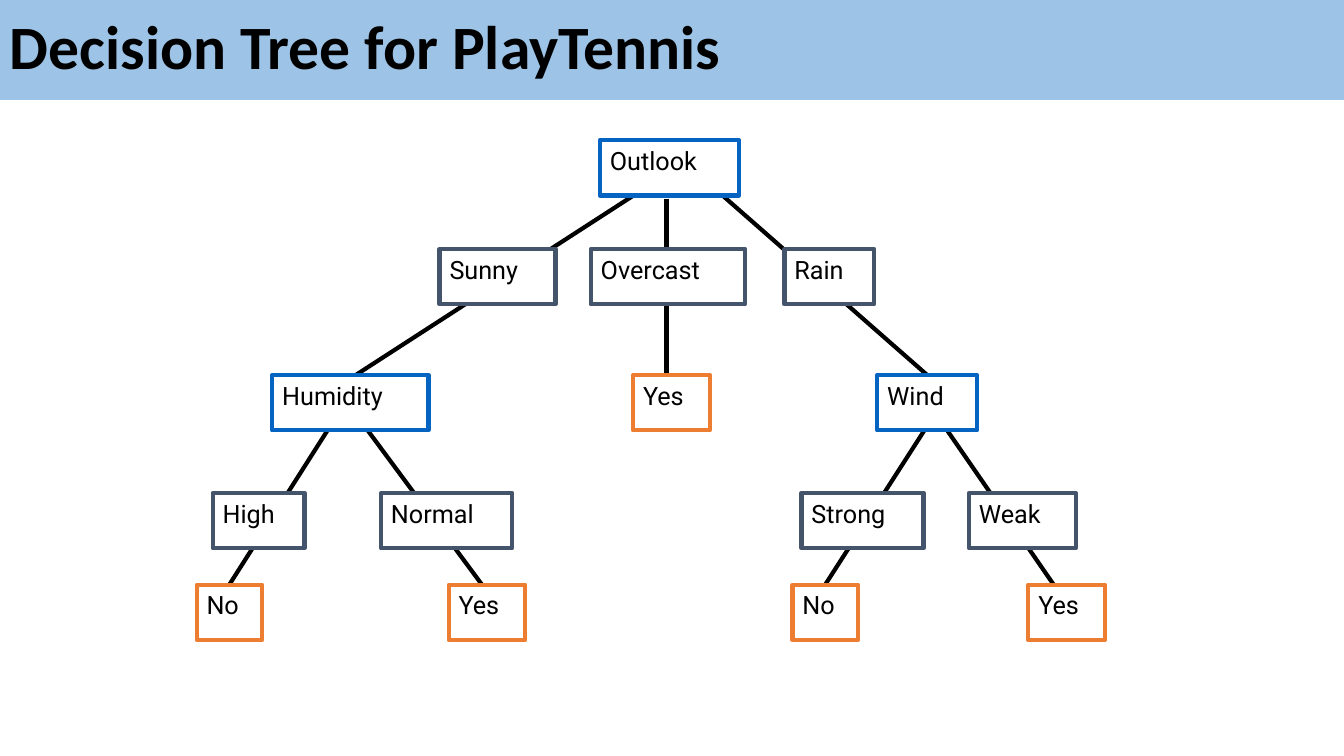
"""Build the PlayTennis decision tree slide."""
from dataclasses import dataclass
from typing import Optional

from lxml.etree import SubElement
from pptx import Presentation
from pptx.dml.color import RGBColor
from pptx.enum.shapes import MSO_CONNECTOR as Connector, MSO_SHAPE as Preset
from pptx.enum.text import MSO_ANCHOR as Anchor, PP_ALIGN as Align
from pptx.oxml.ns import qn
from pptx.util import Inches, Pt

COLORS = {
    "band": "9DC3E6",
    "attribute": "0563C1",
    "value": "44546A",
    "decision": "ED7D31",
    "paper": "FFFFFF",
    "ink": "000000",
}
NODE_HEIGHT = 0.55
STROKE = Pt(3)
TOP = 0

ROOT_ROW, OUTLOOK_ROW, TEST_ROW, VALUE_ROW, LEAF_ROW = 1.39, 2.47, 3.72, 4.89, 5.8
ROOT_EXIT, TEST_EXIT = 1.89, 4.22


@dataclass(frozen=True)
class Node:
    label: str
    kind: str
    left: float
    top: float
    width: float


@dataclass(frozen=True)
class Branch:
    start: tuple[float, float]
    end: tuple[float, float]
    target: Optional[Node] = None


WIND = Node("Wind", "attribute", 8.7, TEST_ROW, 0.99)
HIGH_NO = Node("No", "decision", 1.95, LEAF_ROW, 0.65)
STRONG_NO = Node("No", "decision", 7.86, LEAF_ROW, 0.65)

NODES = [
    Node("Outlook", "attribute", 5.95, ROOT_ROW, 1.38),
    Node("Sunny", "value", 4.36, OUTLOOK_ROW, 1.15),
    Node("Overcast", "value", 5.86, OUTLOOK_ROW, 1.53),
    Node("Rain", "value", 7.78, OUTLOOK_ROW, 0.89),
    Node("Humidity", "attribute", 2.7, TEST_ROW, 1.55),
    Node("Yes", "decision", 6.28, TEST_ROW, 0.76),
    WIND,
    Node("High", "value", 2.11, VALUE_ROW, 0.91),
    Node("Normal", "value", 3.78, VALUE_ROW, 1.3),
    Node("Strong", "value", 7.95, VALUE_ROW, 1.21),
    Node("Weak", "value", 9.61, VALUE_ROW, 1.06),
    HIGH_NO,
    Node("Yes", "decision", 4.45, LEAF_ROW, 0.76),
    STRONG_NO,
    Node("Yes", "decision", 10.2, LEAF_ROW, 0.76),
]

BRANCHES = [
    Branch((7.11, ROOT_EXIT), (9.2, TEST_ROW), WIND),
    Branch((6.36, ROOT_EXIT), (3.53, TEST_ROW)),
    Branch((6.61, 1.97), (6.61, TEST_ROW)),
    Branch((3.28, TEST_EXIT), (2.28, LEAF_ROW), HIGH_NO),
    Branch((3.61, TEST_EXIT), (4.78, LEAF_ROW)),
    Branch((9.2, TEST_EXIT), (8.2, LEAF_ROW), STRONG_NO),
    Branch((9.36, TEST_EXIT), (10.45, LEAF_ROW)),
]


def rgb(name: str) -> RGBColor:
    return RGBColor.from_string(COLORS[name])


def write(shape, text: str, *, font: str, size: float, bold: bool = False,
          anchor=Anchor.TOP, spacing: float = 1.0) -> None:
    frame = shape.text_frame
    frame.word_wrap = True
    frame.vertical_anchor = anchor
    paragraph = frame.paragraphs[0]
    paragraph.alignment = Align.LEFT
    paragraph.line_spacing = spacing
    run = paragraph.add_run()
    run.text = text
    run.font.name = font
    run.font.size = Pt(size)
    run.font.bold = bold
    run.font.color.rgb = rgb("ink")


def draw_box(slide, left: float, top: float, width: float, height: float,
             fill: str, outline: Optional[str] = None):
    box = slide.shapes.add_shape(Preset.RECTANGLE, Inches(left), Inches(top),
                                 Inches(width), Inches(height))
    box.shadow.inherit = False
    box.fill.solid()
    box.fill.fore_color.rgb = rgb(fill)
    if outline:
        box.line.color.rgb = rgb(outline)
        box.line.width = STROKE
    else:
        box.line.fill.background()
    return box


def draw_node(slide, node: Node):
    box = draw_box(slide, node.left, node.top, node.width, NODE_HEIGHT,
                   "paper", node.kind)
    write(box, node.label, font="Roboto", size=18)
    return box


def draw_branch(slide, branch: Branch, boxes: dict, band) -> None:
    ends = [Inches(value) for value in branch.start + branch.end]
    link = slide.shapes.add_connector(Connector.STRAIGHT, *ends)
    link.line.color.rgb = rgb("ink")
    link.line.width = STROKE
    SubElement(link._element.spPr, qn("a:effectLst"))
    if branch.target:
        link.end_connect(boxes[branch.target], TOP)
    band._element.addnext(link._element)


def main() -> None:
    deck = Presentation()
    deck.slide_width, deck.slide_height = Inches(13.33), Inches(7.5)
    slide = deck.slides.add_slide(deck.slide_layouts[6])

    band = draw_box(slide, 0, 0, 13.33, 0.99, "band")
    write(band, "Decision Tree for PlayTennis", font="Calibri", size=44,
          bold=True, anchor=Anchor.MIDDLE, spacing=0.9)

    boxes = {node: draw_node(slide, node) for node in NODES}
    for branch in BRANCHES:
        draw_branch(slide, branch, boxes, band)

    deck.save("out.pptx")


if __name__ == "__main__":
    main()
